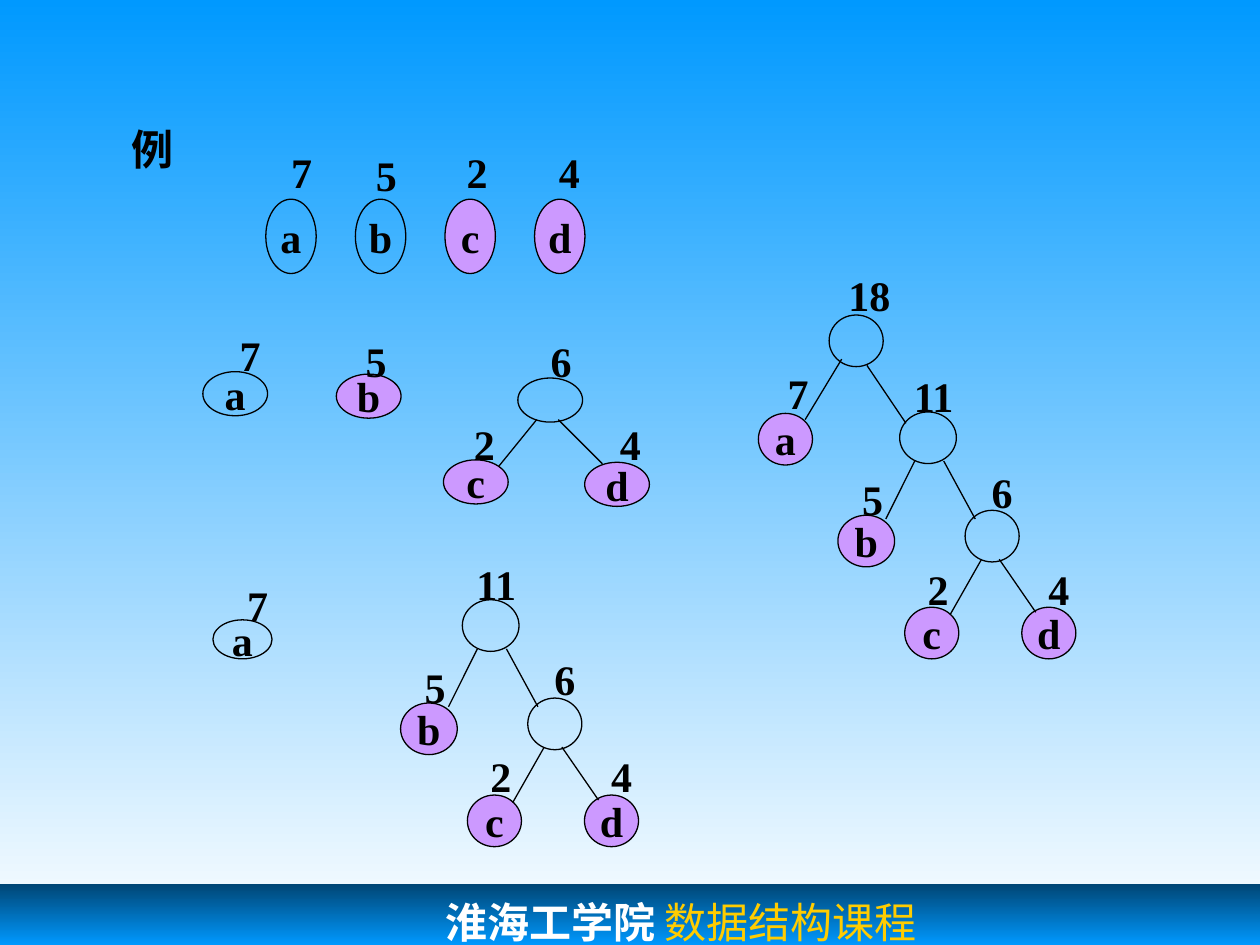
from copy import deepcopy

from lxml import etree
from pptx import Presentation
from pptx.dml.color import RGBColor
from pptx.enum import shapes, text
from pptx.oxml.ns import qn
from pptx.util import Pt

BLACK, CHOSEN, SKY = "000000", "CC99FF", "0099FF"
SERIF, MONO = "Times New Roman", "DejaVu Sans Mono"
LABEL = {"size": Pt(24), "name": SERIF, "bold": True}
ROUND, WIDE = (30.9, 29.5), (32.4, 29.5)


def colour(hex_value):
    return RGBColor.from_string(hex_value)


def set_values(target, values):
    for name, value in values.items():
        setattr(target, name, value)


def set_gradient(fill, element, colours):
    """Top-to-bottom gradient with evenly spaced stops."""
    fill.gradient()
    fill.gradient_angle = 270
    stop_list = element.find(".//" + qn("a:gsLst"))
    while len(stop_list) < len(colours):
        stop_list.append(deepcopy(stop_list[-1]))
    for index, (stop, hex_value) in enumerate(zip(fill.gradient_stops, colours)):
        stop.color.rgb = colour(hex_value)
        stop.position = index / (len(colours) - 1)


def add_run(paragraph, words, font, hex_value):
    run = paragraph.add_run()
    run.text = words
    set_values(run.font, font)
    run.font.color.rgb = colour(hex_value)


def write_centred(shape, words, auto_size=text.MSO_AUTO_SIZE.NONE):
    set_values(shape.text_frame, {
        "word_wrap": False,
        "auto_size": auto_size,
        "vertical_anchor": text.MSO_ANCHOR.MIDDLE,
    })
    paragraph = shape.text_frame.paragraphs[0]
    paragraph.alignment = text.PP_ALIGN.CENTER
    add_run(paragraph, words, LABEL, BLACK)


def add_node(slide, left, top, size, name, weight, shift, chosen=False):
    """Ellipse with its weight above; shift places the weight from the node."""
    node = slide.shapes.add_shape(
        shapes.MSO_SHAPE.OVAL, Pt(left), Pt(top), Pt(size[0]), Pt(size[1]))
    node.shadow.inherit = False
    if chosen:
        node.fill.solid()
        node.fill.fore_color.rgb = colour(CHOSEN)
    else:
        node.fill.background()
    node.line.color.rgb = colour(BLACK)
    node.line.width = Pt(0.75)
    if name:
        write_centred(node, name)
    # Side insets plus one digit width each, with a little room to spare
    label = slide.shapes.add_textbox(
        Pt(left + shift[0]), Pt(top + shift[1]),
        Pt(14.4 + 12.2 * len(weight)), Pt(36))
    write_centred(label, weight, text.MSO_AUTO_SIZE.SHAPE_TO_FIT_TEXT)


def add_edge(slide, *ends):
    edge = slide.shapes.add_connector(
        shapes.MSO_CONNECTOR.STRAIGHT, *(Pt(value) for value in ends))
    edge.line.color.rgb = colour(BLACK)
    edge.line.width = Pt(0.75)
    etree.SubElement(edge._element.spPr, qn("a:effectLst"))


def add_subtree(slide, x, y):
    """Tree of weight 11, with its root ellipse at x, y."""
    for dx, dy, size, name, weight, shift in (
            (-35.3, 59, WIDE, "b", "5", (6.5, -27.4)),
            (2.9, 111.6, ROUND, "c", "2", (5.8, -28.8)),
            (69.8, 111.6, ROUND, "d", "4", (7.9, -28.8)),
            (37.4, 56.2, ROUND, "", "6", (7.9, -28.8)),
            (0, 0, WIDE, "", "11", (0, -27.4))):
        add_node(slide, x + dx, y + dy, size, name, weight, shift, bool(name))
    for x1, y1, x2, y2 in (
            (46.8, 84.2, 28.8, 115.9), (56.9, 84.2, 77.8, 114.5),
            (8.6, 28.1, -7.9, 61.2), (25.2, 28.1, 43.2, 61.2)):
        add_edge(slide, x + x1, y + y1, x + x2, y + y2)


def add_footer(slide):
    footer = slide.shapes.add_shape(
        shapes.MSO_SHAPE.RECTANGLE, 0, Pt(505.4), Pt(720), Pt(69.8))
    footer.shadow.inherit = False
    footer.line.fill.background()
    set_gradient(footer.fill, footer._element, ("004675", SKY, "004675"))
    set_values(footer.text_frame, {
        "margin_left": Pt(254.5),
        "margin_top": Pt(7),
        "vertical_anchor": text.MSO_ANCHOR.TOP,
    })
    paragraph = footer.text_frame.paragraphs[0]
    paragraph.alignment = text.PP_ALIGN.LEFT
    add_run(paragraph, "淮海工学院", {**LABEL, "name": MONO}, "FFFFFF")
    add_run(paragraph, " 数据结构课程", {**LABEL, "bold": False}, "FFCC00")


def add_title(slide):
    title = slide.shapes.title
    set_values(title, {"left": Pt(67.7), "top": Pt(67),
                       "width": Pt(38.8), "height": Pt(36)})
    write_centred(title, "例", text.MSO_AUTO_SIZE.SHAPE_TO_FIT_TEXT)


def main():
    presentation = Presentation()
    presentation.slide_width, presentation.slide_height = Pt(720), Pt(540)
    slide = presentation.slides.add_slide(presentation.slide_layouts[5])
    set_gradient(slide.background.fill, slide._element, (SKY, "FFFFFF"))
    add_footer(slide)
    add_title(slide)

    # Step 1: four single nodes
    leaves = (("a", "7", (7.2, -33.9)), ("b", "5", (4.4, -31.7)),
              ("c", "2", (5.1, -33.9)), ("d", "4", (6.6, -33.9)))
    for index, (name, weight, shift) in enumerate(leaves):
        add_node(slide, 151.9 + 51.2 * index, 113.8, (28.8, 42.5),
                 name, weight, shift, name in "cd")

    # Step 2: c and d merged
    for left, top, name, weight, shift in (
            (115.9, 212.4, "a", "7", (13.7, -27.4)),
            (192.2, 213.8, "b", "5", (9.4, -25.9)),
            (253.4, 262.8, "c", "2", (10.1, -27.4)),
            (334.1, 264.2, "d", "4", (12.9, -28.8)),
            (295.9, 216, "", "6", (11.5, -28.1))):
        add_node(slide, left, top, (37, 25.2), name, weight, shift,
                 name in ("b", "c", "d"))
    add_edge(slide, 306.7, 239.8, 285.1, 266.4)
    add_edge(slide, 319, 239.8, 344.2, 265)

    # Step 3: b merged
    add_node(slide, 121.7, 354.2, (33.8, 22.3), "a", "7", (12.2, -26.6))
    add_subtree(slide, 264.2, 342.7)

    # Step 4: the whole tree
    add_node(slide, 433.4, 236.2, ROUND, "a", "7", (9.4, -29.5), True)
    add_subtree(slide, 514.1, 235.4)
    add_node(slide, 473.8, 180, ROUND, "", "18", (3.6, -29.5))
    add_edge(slide, 481, 205.2, 460.1, 239.8)
    add_edge(slide, 495.4, 208.8, 517.7, 241.9)

    presentation.save("out.pptx")


if __name__ == "__main__":
    main()
